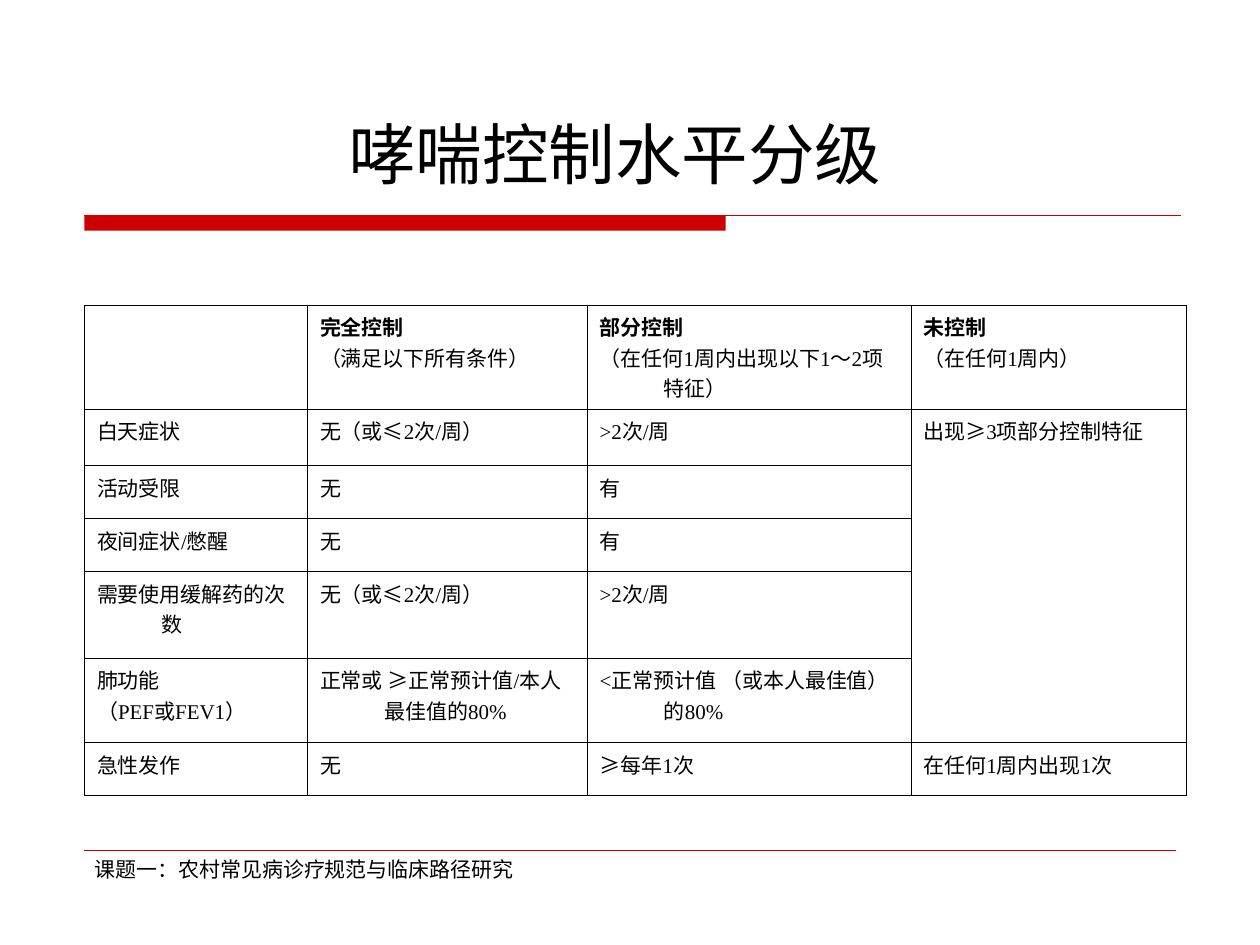
import pptx
import pptx.util
import pptx.dml.color
import pptx.enum.lang
import pptx.enum.shapes
import pptx.enum.text
import pptx.oxml.ns
from lxml import etree

Inches = pptx.util.Inches
Pt = pptx.util.Pt
ALIGN = pptx.enum.text.PP_ALIGN
ANCHOR = pptx.enum.text.MSO_ANCHOR
qn = pptx.oxml.ns.qn

COLORS = {"text": "000000", "accent": "CC0000", "paper": "FFFFFF", "border": "000000"}
SANS = "DejaVu Sans"
SERIF = "Times New Roman"

COL_WIDTHS = [1.77, 2.22, 2.57, 2.19]
ROW_HEIGHTS = [0.82, 0.45, 0.42, 0.42, 0.69, 0.67, 0.42]
ROWS = [
    ["", "完全控制\n（满足以下所有条件）", "部分控制\n（在任何1周内出现以下1～2项特征）", "未控制\n（在任何1周内）"],
    ["白天症状", "无（或≤2次/周）", ">2次/周", "出现≥3项部分控制特征"],
    ["活动受限", "无", "有", ""],
    ["夜间症状/憋醒", "无", "有", ""],
    ["需要使用缓解药的次数", "无（或≤2次/周）", ">2次/周", ""],
    ["肺功能\n（PEF或FEV1）", "正常或 ≥正常预计值/本人最佳值的80%", "<正常预计值 （或本人最佳值）的80%", ""],
    ["急性发作", "无", "≥每年1次", "在任何1周内出现1次"],
]


def rgb(name):
    return pptx.dml.color.RGBColor.from_string(COLORS[name])


def write(tf, text, size=12, font=SERIF, align=ALIGN.LEFT, bold_first=False, hanging=0):
    tf.word_wrap = True
    for i, line in enumerate(text.split("\n")):
        p = tf.paragraphs[0] if i == 0 else tf.add_paragraph()
        p.alignment = align
        if hanging:
            pPr = p._p.get_or_add_pPr()
            pPr.set("marL", str(Inches(hanging)))
            pPr.set("indent", str(-Inches(hanging)))
        r = p.add_run()
        r.text = line
        r.font.size = Pt(size)
        r.font.name = font
        r.font.bold = bold_first and i == 0
        r.font.color.rgb = rgb("text")
        r.font.language_id = pptx.enum.lang.MSO_LANGUAGE_ID.SIMPLIFIED_CHINESE


def add_rule(s, x, y, w, weight):
    line = s.shapes.add_connector(
        pptx.enum.shapes.MSO_CONNECTOR.STRAIGHT, Inches(x), Inches(y), Inches(x + w), Inches(y))
    line.line.color.rgb = rgb("accent")
    line.line.width = Pt(weight)
    etree.SubElement(line._element.spPr, qn("a:effectLst"))


def add_title(s, x, y, w, h):
    sp = s.shapes.title
    sp.left, sp.top, sp.width, sp.height = (Inches(v) for v in (x, y, w, h))
    tf = sp.text_frame
    tf.vertical_anchor = ANCHOR.BOTTOM
    tf.auto_size = pptx.enum.text.MSO_AUTO_SIZE.NONE
    write(tf, "哮喘控制水平分级", size=38, font=SANS)


def add_title_bar(s, x, y, w, h):
    sp = s.shapes.add_shape(
        pptx.enum.shapes.MSO_SHAPE.RECTANGLE, Inches(x), Inches(y), Inches(5.09), Inches(h))
    sp.shadow.inherit = False
    sp.fill.solid()
    sp.fill.fore_color.rgb = rgb("accent")
    sp.line.fill.background()
    add_rule(s, x, y, w, 0.75)


def set_borders(cell, weight):
    tcPr = cell._tc.get_or_add_tcPr()
    for i, side in enumerate(("lnL", "lnR", "lnT", "lnB")):
        ln = etree.Element(qn("a:" + side), w=str(Pt(weight)))
        fill = etree.SubElement(ln, qn("a:solidFill"))
        etree.SubElement(fill, qn("a:srgbClr"), val=COLORS["border"])
        tcPr.insert(i, ln)


def add_control_table(s, x, y, w, h):
    table = s.shapes.add_table(
        len(ROWS), len(COL_WIDTHS), Inches(x), Inches(y), Inches(w), Inches(h)).table
    table.first_row = False
    table.horz_banding = False
    for col, width in zip(table.columns, COL_WIDTHS):
        col.width = Inches(width)
    for row, height in zip(table.rows, ROW_HEIGHTS):
        row.height = Inches(height)
    for i, texts in enumerate(ROWS):
        for j, text in enumerate(texts):
            cell = table.cell(i, j)
            cell.fill.solid()
            cell.fill.fore_color.rgb = rgb("paper")
            set_borders(cell, 0.45)
            if text:
                write(cell.text_frame, text, bold_first=i == 0, hanging=0.51)
    table.cell(1, 3).merge(table.cell(5, 3))


def add_footer(s, x, y, w, h):
    add_rule(s, 0.67, y, 8.66, 0.25)
    box = s.shapes.add_textbox(Inches(x), Inches(y), Inches(w), Inches(h))
    write(box.text_frame, "课题一：农村常见病诊疗规范与临床路径研究", font=SANS, align=ALIGN.CENTER)


def main():
    prs = pptx.Presentation()
    prs.slide_width, prs.slide_height = Inches(10), Inches(7.5)
    s = prs.slides.add_slide(prs.slide_layouts[5])
    add_title_bar(s, 0.67, 1.71, 8.7, 0.12)
    add_title(s, 2.67, 0.83, 4.75, 0.75)
    add_control_table(s, 0.67, 2.42, sum(COL_WIDTHS), sum(ROW_HEIGHTS))
    add_footer(s, 0.58, 6.75, 3.67, 0.52)
    prs.save("out.pptx")


if __name__ == "__main__":
    main()
